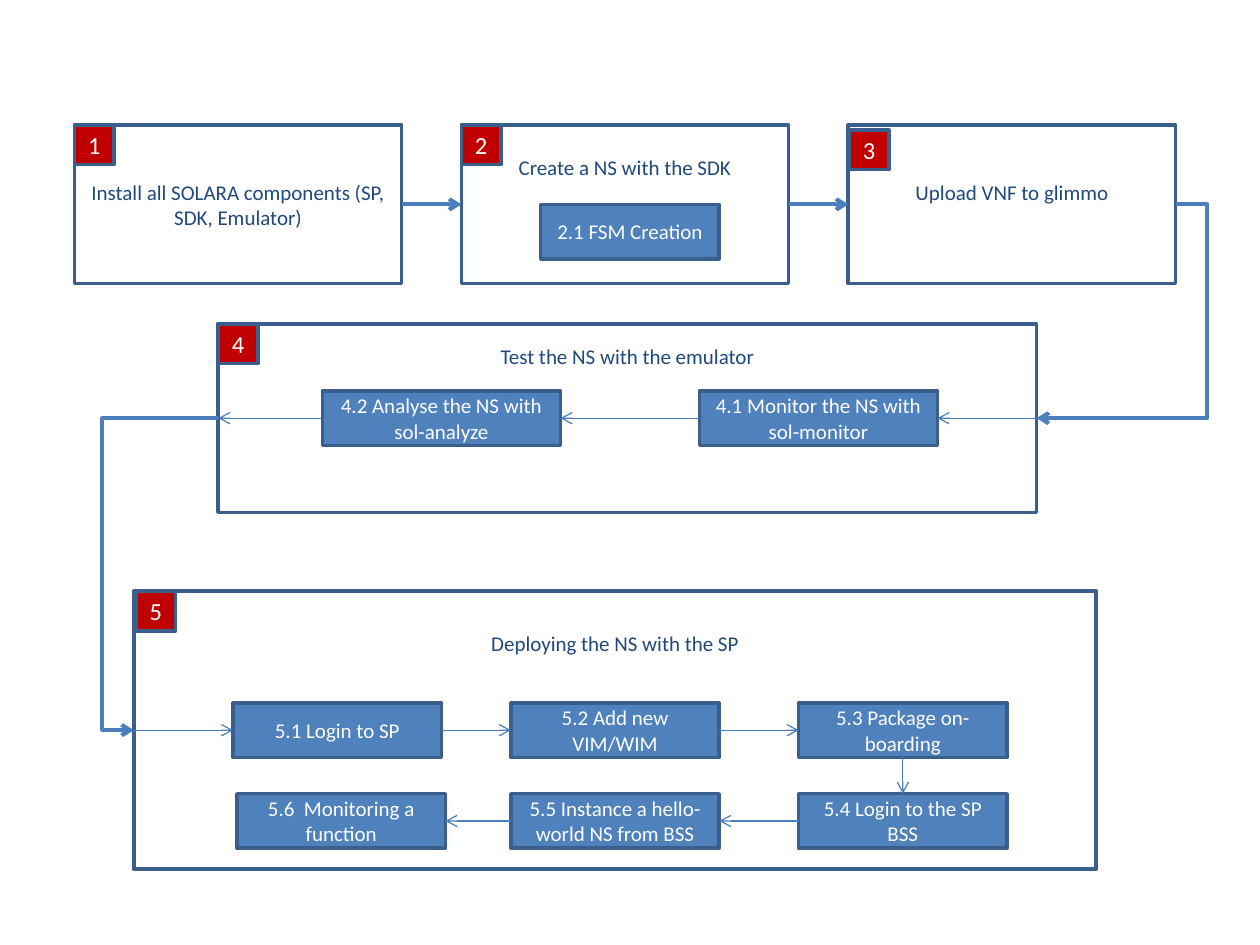
import pptx
import pptx.util
import pptx.dml.color
import pptx.enum.shapes
import pptx.enum.text
import pptx.oxml
import pptx.oxml.ns
import lxml.etree

Cm = pptx.util.Cm
Pt = pptx.util.Pt
qn = pptx.oxml.ns.qn
kinds = pptx.enum.shapes.MSO_CONNECTOR

deck = pptx.Presentation()
deck.slide_width, deck.slide_height = Cm(25.4), Cm(19.05)
slide = deck.slides.add_slide(deck.slide_layouts[6])


def paint(part, color):
    part.rgb = pptx.dml.color.RGBColor.from_string(color)


def box(text, left, top, width, height, fill=None, color="FFFFFF", size=12, lift=0):
    rect = slide.shapes.add_shape(
        pptx.enum.shapes.MSO_SHAPE.RECTANGLE, Cm(left), Cm(top), Cm(width), Cm(height))
    rect.shadow.inherit = False
    if fill:
        rect.fill.solid()
        paint(rect.fill.fore_color, fill)
    else:
        rect.fill.background()
    paint(rect.line.color, "3A5F8C")
    rect.line.width = Pt(2)
    frame = rect.text_frame
    frame.word_wrap = True
    frame.vertical_anchor = pptx.enum.text.MSO_ANCHOR.MIDDLE
    frame.margin_bottom = Cm(0.13 + lift)
    frame.text = text
    para = frame.paragraphs[0]
    para.alignment = pptx.enum.text.PP_ALIGN.CENTER
    para.font.name = "Calibri"
    para.font.size = Pt(size)
    paint(para.font.color, color)


stages = [
    ("Install all SOLARA components (SP, SDK, Emulator)", 1.5, 2.52, 6.6, 3.2, 0),
    ("Create a NS with the SDK", 9.3, 2.52, 6.6, 3.2, 3),
    ("Upload VNF to glimmo", 17.1, 2.52, 6.6, 3.2, 1),
    ("Test the NS with the emulator", 4.4, 6.53, 16.5, 3.8, 5),
    ("Deploying the NS with the SP", 2.7, 11.92, 19.4, 5.6, 7),
]
for text, left, top, width, height, lines in stages:
    box(text, left, top, width, height, color="1F497D", lift=lines * 0.5)

cols = [4.7, 10.3, 16.1]
high, low = 14.17, 16
steps = [
    ("2.1 FSM Creation", 10.9, 4.12, 3.6),
    ("4.1 Monitor the NS with sol-monitor", 14.1, 7.88, 4.8),
    ("4.2 Analyse the NS with sol-analyze", 6.5, 7.88, 4.8),
    ("5.1 Login to SP", cols[0], high, 4.2),
    ("5.2 Add new VIM/WIM", cols[1], high, 4.2),
    ("5.3 Package on-boarding", cols[2], high, 4.2),
    ("5.4 Login to the SP BSS", cols[2], low, 4.2),
    ("5.5 Instance a hello-world NS from BSS", cols[1], low, 4.2),
    ("5.6\u00a0 Monitoring a function", 4.78, low, 4.2),
]
for text, left, top, width in steps:
    box(text, left, top, width, 1.1, fill="4F81BD")

badges = [(1.5, 2.52), (9.3, 2.52), (17.12, 2.62), (4.4, 6.53), (2.74, 11.92)]
for num, (left, top) in enumerate(badges, 1):
    box(str(num), left, top, 0.8, 0.8, fill="C00000", size=14)

arrows = [
    (8.1, 4.12, 9.3, 4.12, 2.25, None),
    (15.9, 4.12, 17.1, 4.12, 2.25, None),
    (23.7, 4.12, 20.9, 8.43, 2.25, -22700),
    (4.4, 8.43, 2.7, 14.72, 2.25, 137300),
    (20.9, 8.43, 18.9, 8.43, 0.75, None),
    (14.1, 8.43, 11.3, 8.43, 0.75, None),
    (6.5, 8.43, 4.4, 8.43, 0.75, None),
    (2.7, 14.72, 4.7, 14.72, 0.75, None),
    (8.9, 14.72, 10.3, 14.72, 0.75, None),
    (14.5, 14.72, 16.1, 14.72, 0.75, None),
    (18.2, 15.27, 18.2, 16, 0.75, None),
    (16.1, 16.55, 14.5, 16.55, 0.75, None),
    (10.3, 16.55, 8.98, 16.55, 0.75, None),
]
for x1, y1, x2, y2, weight, bend in arrows:
    kind = kinds.STRAIGHT if bend is None else kinds.ELBOW
    link = slide.shapes.add_connector(kind, Cm(x1), Cm(y1), Cm(x2), Cm(y2))
    paint(link.line.color, "4B7EBC")
    link.line.width = Pt(weight)
    props = link.element.spPr
    lxml.etree.SubElement(props.find(qn("a:ln")), qn("a:tailEnd"), type="arrow")
    lxml.etree.SubElement(props, qn("a:effectLst"))
    if bend is not None:
        guides = props.find(qn("a:prstGeom")).find(qn("a:avLst"))
        lxml.etree.SubElement(guides, qn("a:gd"), name="adj1", fmla=f"val {bend}")

deck.save("out.pptx")
